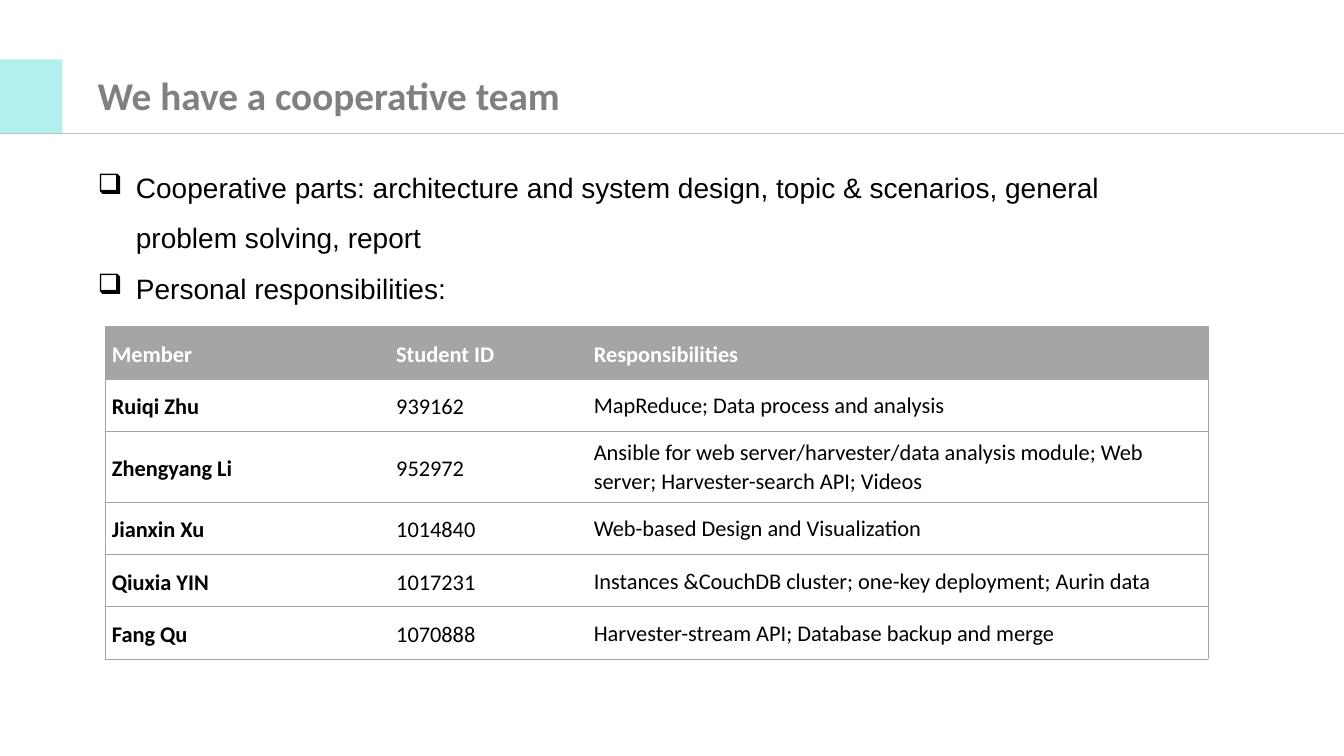
from dataclasses import dataclass

from lxml import etree
from pptx import Presentation
from pptx.dml.color import RGBColor
from pptx.enum import shapes, text
from pptx.oxml import ns
from pptx.util import Inches, Pt


@dataclass(frozen=True)
class Theme:
    accent: str = "B2F0ED"
    rule: str = "BFBFBF"
    grid: str = "A5A5A5"
    heading: str = "808080"
    ink: str = "000000"
    paper: str = "FFFFFF"
    heading_font: str = "Calibri"
    body_font: str = "Arial"
    title_size: int = 28
    bullet_size: int = 20
    table_size: int = 16
    hairline: float = 0.5


class TeamSlide:
    def __init__(self, deck, theme):
        self.theme = theme
        self.page = deck.slides.add_slide(deck.slide_layouts[6])

    def style(self, para, font, size, color, bold=False):
        for span in para.runs:
            span.font.name = font
            span.font.size = Pt(size)
            span.font.bold = bold
            span.font.color.rgb = RGBColor.from_string(color)

    def rule(self, left, right, top):
        line = self.page.shapes.add_connector(
            shapes.MSO_CONNECTOR.STRAIGHT, Inches(left), Inches(top), Inches(right), Inches(top))
        line.line.color.rgb = RGBColor.from_string(self.theme.rule)
        line.line.width = Pt(self.theme.hairline)
        etree.SubElement(line._element.spPr, ns.qn("a:effectLst"))

    def block(self, left, top, width, height):
        block = self.page.shapes.add_shape(
            shapes.MSO_SHAPE.RECTANGLE, Inches(left), Inches(top), Inches(width), Inches(height))
        block.shadow.inherit = False
        block.fill.solid()
        block.fill.fore_color.rgb = RGBColor.from_string(self.theme.accent)
        block.line.fill.background()

    def text_box(self, content, left, top, width, height):
        box = self.page.shapes.add_textbox(Inches(left), Inches(top), Inches(width), Inches(height))
        frame = box.text_frame
        frame.word_wrap = True
        frame.vertical_anchor = text.MSO_ANCHOR.MIDDLE
        frame.text = content
        return frame.paragraphs

    def title(self, content, *place):
        for para in self.text_box(content, *place):
            self.style(para, self.theme.heading_font, self.theme.title_size, self.theme.heading, True)

    def bullets(self, items, *place):
        for para in self.text_box("\n".join(items), *place):
            properties = para._p.get_or_add_pPr()
            properties.set("marL", str(Inches(0.38)))
            properties.set("indent", str(Inches(-0.38)))
            etree.SubElement(properties, ns.qn("a:buChar"), char="❑")
            tabs = etree.SubElement(properties, ns.qn("a:tabLst"))
            etree.SubElement(tabs, ns.qn("a:tab"), pos=str(Inches(0.3)), algn="l")
            para.line_spacing = 1.5
            self.style(para, self.theme.body_font, self.theme.bullet_size, self.theme.ink)

    def borders(self, cell, drawn):
        properties = cell._tc.get_or_add_tcPr()
        for index, side in enumerate("LRTB"):
            edge = etree.Element(ns.qn(f"a:ln{side}"), w=str(Pt(self.theme.hairline)))
            if side in drawn:
                fill = etree.SubElement(edge, ns.qn("a:solidFill"))
                etree.SubElement(fill, ns.qn("a:srgbClr"), val=self.theme.grid)
            else:
                etree.SubElement(edge, ns.qn("a:noFill"))
            properties.insert(index, edge)

    def table(self, rows, widths, heights, left, top):
        theme = self.theme
        grid = self.page.shapes.add_table(
            len(rows), len(widths), Inches(left), Inches(top),
            Inches(sum(widths)), Inches(sum(heights))).table
        for column, width in zip(grid.columns, widths):
            column.width = Inches(width)
        last = len(widths) - 1
        for r, (row, height) in enumerate(zip(rows, heights)):
            grid.rows[r].height = Inches(height)
            for c, content in enumerate(row):
                cell = grid.cell(r, c)
                header = r == 0
                cell.text = content
                cell.vertical_anchor = text.MSO_ANCHOR.MIDDLE
                cell.margin_left = cell.margin_right = Inches(0.07)
                cell.margin_top = cell.margin_bottom = 0
                cell.fill.solid()
                cell.fill.fore_color.rgb = RGBColor.from_string(theme.grid if header else theme.paper)
                self.borders(cell, "TB" + "L" * (c == 0) + "R" * (c == last))
                para = cell.text_frame.paragraphs[0]
                wide = c == last and not header
                para.line_spacing = 1.07 if wide else 1.15
                para.space_after = Pt(0 if wide else 8)
                self.style(para, theme.heading_font, theme.table_size,
                           theme.paper if header else theme.ink, header or c == 0)


def main():
    deck = Presentation()
    deck.slide_width, deck.slide_height = Inches(13.33), Inches(7.5)
    slide = TeamSlide(deck, Theme())
    slide.rule(-0.06, 13.33, 1.32)
    slide.block(0, 0.59, 0.62, 0.73)
    slide.title("We have a cooperative team", 0.87, 0.66, 6.74, 0.57)
    slide.bullets([
        "Cooperative parts: architecture and system design, topic & scenarios, "
        "general problem solving, report",
        "Personal responsibilities:",
    ], 0.87, 1.5, 10.64, 1.55)
    members = [
        ("Member", "Student ID", "Responsibilities"),
        ("Ruiqi Zhu", "939162", "MapReduce; Data process and analysis"),
        ("Zhengyang Li", "952972", "Ansible for web server/harvester/data analysis module; "
                                   "Web server; Harvester-search API; Videos"),
        ("Jianxin Xu", "1014840", "Web-based Design and Visualization"),
        ("Qiuxia YIN", "1017231", "Instances &CouchDB cluster; one-key deployment; Aurin data"),
        ("Fang Qu", "1070888", "Harvester-stream API; Database backup and merge"),
    ]
    slide.table(members, [2.82, 1.96, 6.16], [0.52, 0.52, 0.7, 0.52, 0.52, 0.52], 1.04, 3.24)
    deck.save("out.pptx")


if __name__ == "__main__":
    main()
